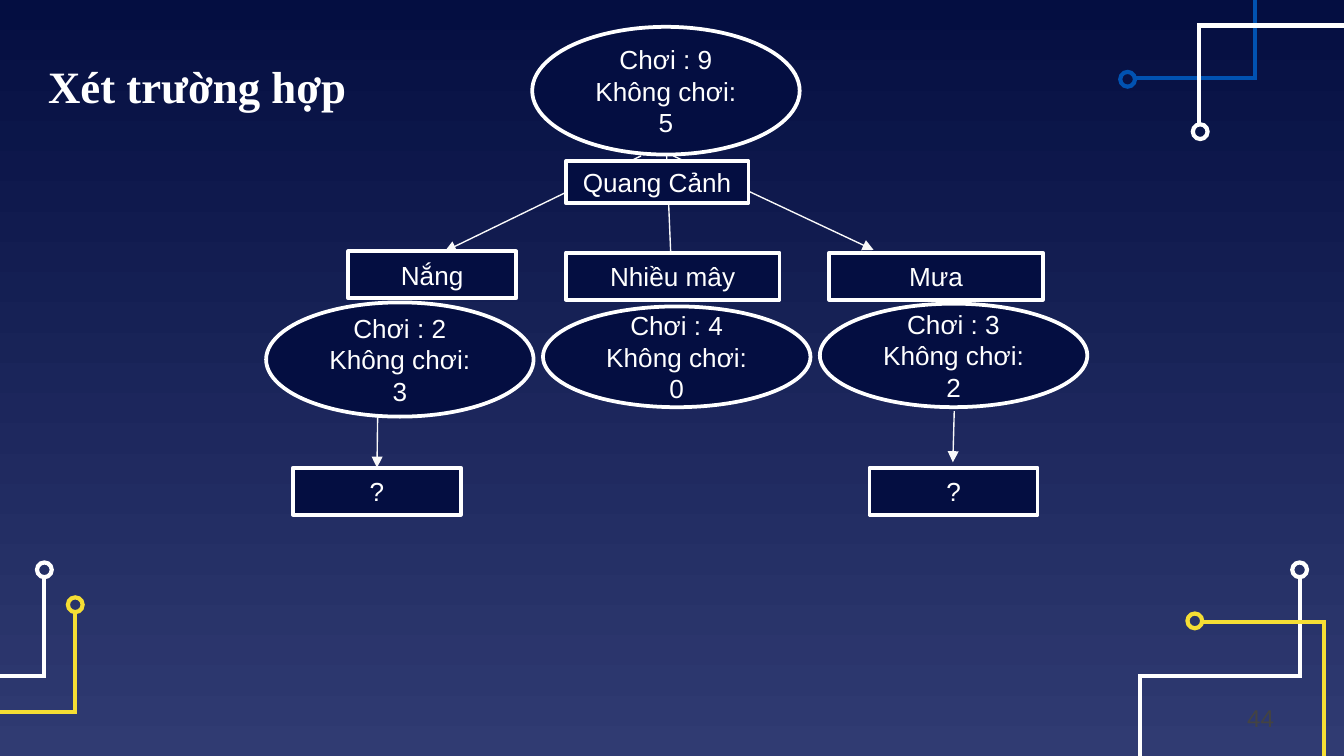
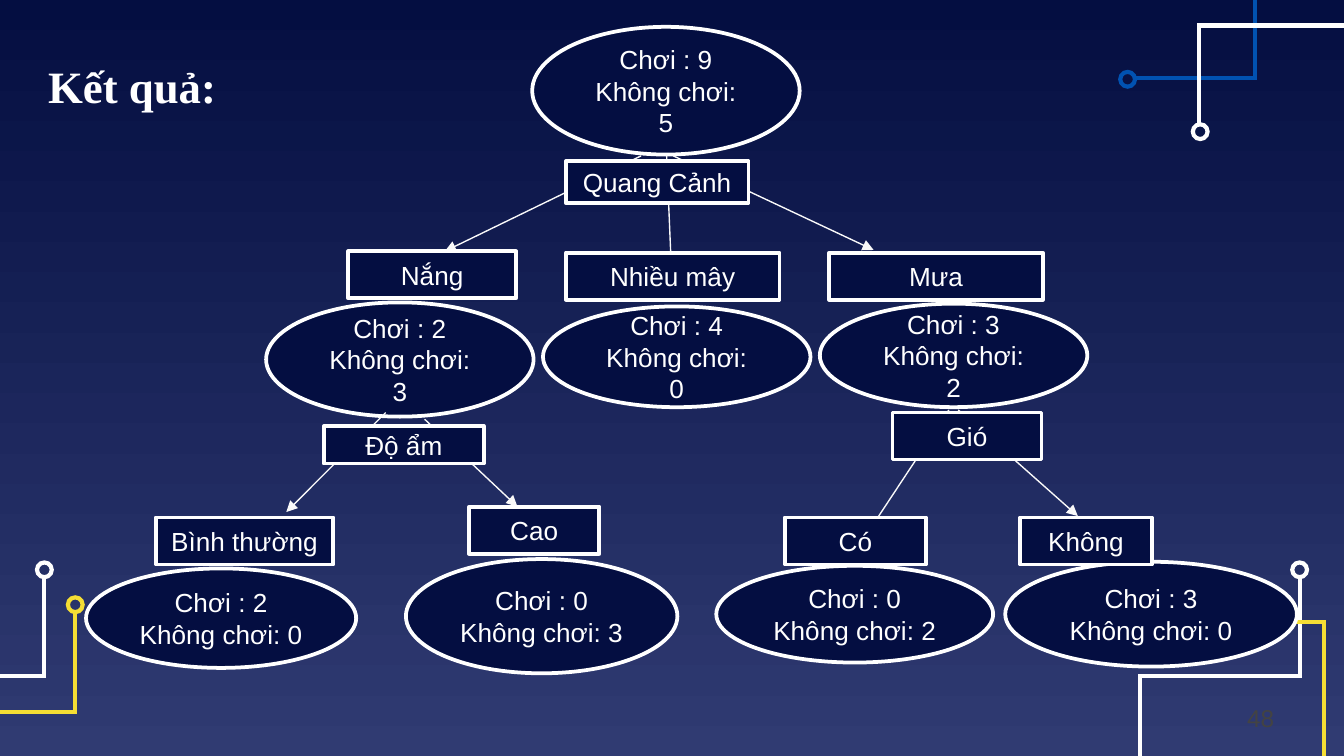
from lxml.etree import SubElement
from pptx import Presentation
from pptx.dml.color import RGBColor
from pptx.enum.shapes import MSO_CONNECTOR, MSO_SHAPE
from pptx.enum.text import MSO_ANCHOR, PP_ALIGN
from pptx.oxml.ns import qn
from pptx.util import Inches, Pt

NAVY = RGBColor(0x04, 0x0E, 0x41)
INDIGO = RGBColor(0x30, 0x3B, 0x72)
WHITE = RGBColor(0xFF, 0xFF, 0xFF)
OFF_WHITE = RGBColor(0xF9, 0xF9, 0xF9)
BLUE = RGBColor(0x01, 0x52, 0xB1)
YELLOW = RGBColor(0xF5, 0xDE, 0x34)
GREY = RGBColor(0x43, 0x43, 0x43)

WIDTH = 10
HEIGHT = WIDTH * 9 / 16
DOT = 0.11
TOP, BOTTOM = 0, 2  # connection sites of a rectangle

# Circuit traces: colour, centre of the dot, points of the line
TRACES = [
    (WHITE, (9.67, 4.24), [(9.67, 4.29), (9.67, 5.03), (8.48, 5.03), (8.48, HEIGHT)]),
    (BLUE, (8.39, 0.59), [(8.45, 0.58), (9.34, 0.58), (9.34, 0)]),
    (WHITE, (8.93, 0.98), [(8.92, 0.93), (8.92, 0.19), (WIDTH, 0.19)]),
    (YELLOW, (8.89, 4.62), [(8.94, 4.63), (9.85, 4.63), (9.85, HEIGHT)]),
    (WHITE, (0.33, 4.24), [(0.33, 4.29), (0.33, 5.03), (0, 5.03)]),
    (YELLOW, (0.56, 4.5), [(0.56, 4.56), (0.56, 5.3), (0, 5.3)]),
]

# Counts: play, not play, (left, top, width, height)
ROOT_COUNT = (9, 5, (3.96, 0.2, 1.99, 0.95))
OUTLOOK_COUNTS = [
    (2, 3, (1.98, 2.25, 1.99, 0.85)),
    (4, 0, (4.04, 2.28, 1.99, 0.75)),
    (3, 2, (6.1, 2.26, 1.99, 0.77)),
]
# Labels: text, (left, top, width, height)
OUTLOOK_LABELS = [
    ("Quang Cảnh", (4.21, 1.2, 1.36, 0.31)),
    ("Nắng", (2.59, 1.87, 1.25, 0.35)),
    ("Nhiều mây", (4.21, 1.88, 1.59, 0.35)),
    ("Mưa", (6.17, 1.88, 1.59, 0.35)),
]
# Arrows: start, end, and the label number and side joined, if any
OUTLOOK_ARROWS = [
    ((4.77, 1.16), (3.31, 1.87), None),
    ((4.96, 1.15), (5.01, 2.23), (2, BOTTOM)),
    ((5.01, 1.16), (6.5, 1.86), None),
]

SLIDES = [
    {
        "title": "Xét trường hợp",
        "number": "44",
        "counts": [],
        "labels": [
            ("?", (2.18, 3.48, 1.25, 0.35)),
            ("?", (6.47, 3.48, 1.25, 0.35)),
        ],
        "arrows": [
            ((2.81, 3.1), (2.81, 3.48), (4, TOP)),
            ((7.1, 3.06), (7.09, 3.44), None),
        ],
    },
    {
        "title": "Kết quả:",
        "number": "48",
        "counts": [
            (2, 0, (0.64, 4.23, 2.01, 0.74)),
            (0, 3, (3.02, 4.16, 2.02, 0.85)),
            (0, 2, (5.33, 4.21, 2.06, 0.72)),
            (3, 0, (7.48, 4.18, 2.17, 0.78)),
        ],
        "labels": [
            ("Độ ẩm", (2.41, 3.17, 1.19, 0.28)),
            ("Gió", (6.64, 3.07, 1.11, 0.35)),
            ("Bình thường", (1.16, 3.85, 1.32, 0.35)),
            ("Cao", (3.49, 3.77, 0.97, 0.35)),
            ("Có", (5.84, 3.85, 1.05, 0.35)),
            ("Không", (7.59, 3.85, 0.98, 0.35)),
        ],
        "arrows": [
            ((2.87, 3.07), (2.13, 3.81), None),
            ((3.16, 3.12), (3.85, 3.77), None),
            ((7.06, 3.05), (6.36, 4.11), None),
            ((7.13, 3.05), (8.02, 3.84), None),
        ],
    },
]


def inches(values):
    return [Inches(value) for value in values]


def write(shape, lines, size, font="Arial", color=WHITE, bold=False, align=PP_ALIGN.CENTER):
    frame = shape.text_frame
    frame.word_wrap = True
    frame.vertical_anchor = MSO_ANCHOR.MIDDLE
    for index, line in enumerate(lines):
        paragraph = frame.add_paragraph() if index else frame.paragraphs[0]
        paragraph.alignment = align
        run = paragraph.add_run()
        run.text = line
        run.font.size = Pt(size)
        run.font.name = font
        run.font.bold = bold
        run.font.color.rgb = color


def outline(shape, color, width):
    shape.shadow.inherit = False
    shape.line.color.rgb = color
    shape.line.width = Pt(width)


def add_node(slide, preset, box, lines):
    node = slide.shapes.add_shape(preset, *inches(box))
    node.fill.solid()
    node.fill.fore_color.rgb = NAVY
    outline(node, WHITE, 2)
    write(node, lines, 14)
    return node


def add_count(slide, play, skip, box):
    lines = [f"Chơi : {play}", f"Không chơi: {skip}"]
    node = add_node(slide, MSO_SHAPE.OVAL, box, lines)
    if box[2] < 2:  # narrow ovals wrap before the number
        node.text_frame.margin_left = node.text_frame.margin_right = Inches(0.11)


def add_arrow(slide, start, end):
    arrow = slide.shapes.add_connector(MSO_CONNECTOR.STRAIGHT, *inches(start + end))
    arrow.line.color.rgb = OFF_WHITE
    arrow.line.width = Pt(0.75)
    properties = arrow._element.spPr
    SubElement(properties.find(qn("a:ln")), qn("a:tailEnd"), type="triangle")
    SubElement(properties, qn("a:effectLst"))
    return arrow


def add_trace(slide, color, center, points):
    start, *rest = [inches(point) for point in points]
    builder = slide.shapes.build_freeform(*start)
    builder.add_line_segments(rest, close=False)
    trace = builder.convert_to_shape()
    left, top = [value - DOT / 2 for value in center]
    dot = slide.shapes.add_shape(MSO_SHAPE.OVAL, *inches((left, top, DOT, DOT)))
    for shape in (trace, dot):
        shape.fill.background()
        outline(shape, color, 2.25)
        SubElement(shape._element.spPr.find(qn("a:ln")), qn("a:miter"), lim="800000")


def add_base(presentation, title, number):
    slide = presentation.slides.add_slide(presentation.slide_layouts[6])
    # Background gradient, dark at the top
    fill = slide.background.fill
    fill.gradient()
    fill.gradient_angle = 270
    for stop, color in zip(fill.gradient_stops, (NAVY, INDIGO)):
        stop.color.rgb = color
    for trace in TRACES:
        add_trace(slide, *trace)
    # Title and slide number
    title_box = slide.shapes.add_textbox(*inches((0.26, 0.49, 3.34, 0.29)))
    frame = title_box.text_frame
    frame.margin_left = frame.margin_right = Inches(0.1)
    frame.margin_top = frame.margin_bottom = Inches(0.1)
    write(title_box, [title], 24, "Times New Roman", bold=True, align=PP_ALIGN.LEFT)
    number_box = slide.shapes.add_textbox(*inches((9.08, 5.19, 0.6, 0.3)))
    write(number_box, [number], 13, color=GREY)
    return slide


def add_tree(slide, counts, labels, arrows):
    # Arrows lie under the labels, so they are joined once the labels exist
    add_count(slide, *ROOT_COUNT)
    drawn = [add_arrow(slide, start, end) for start, end, _ in OUTLOOK_ARROWS]
    for count in OUTLOOK_COUNTS:
        add_count(slide, *count)
    drawn += [add_arrow(slide, start, end) for start, end, _ in arrows]
    for count in counts:
        add_count(slide, *count)
    boxes = [add_node(slide, MSO_SHAPE.RECTANGLE, box, [text])
             for text, box in OUTLOOK_LABELS + labels]
    for arrow, (_, _, joint) in zip(drawn, OUTLOOK_ARROWS + arrows):
        if joint:
            label, side = joint
            arrow.end_connect(boxes[label], side)


def main():
    presentation = Presentation()
    presentation.slide_width = Inches(WIDTH)
    presentation.slide_height = Inches(HEIGHT)
    for content in SLIDES:
        slide = add_base(presentation, content["title"], content["number"])
        add_tree(slide, content["counts"], content["labels"], content["arrows"])
    presentation.save("out.pptx")


if __name__ == "__main__":
    main()
